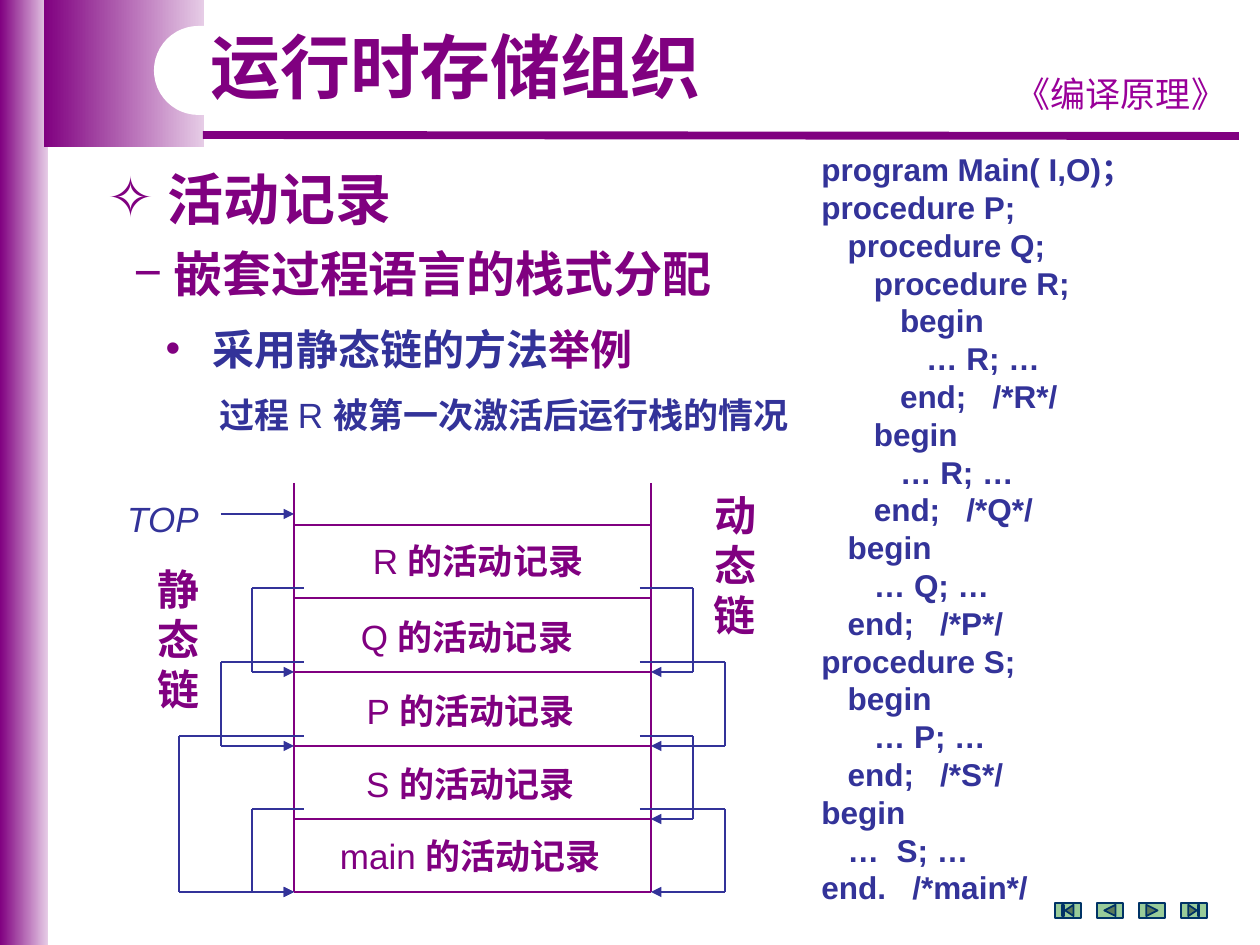
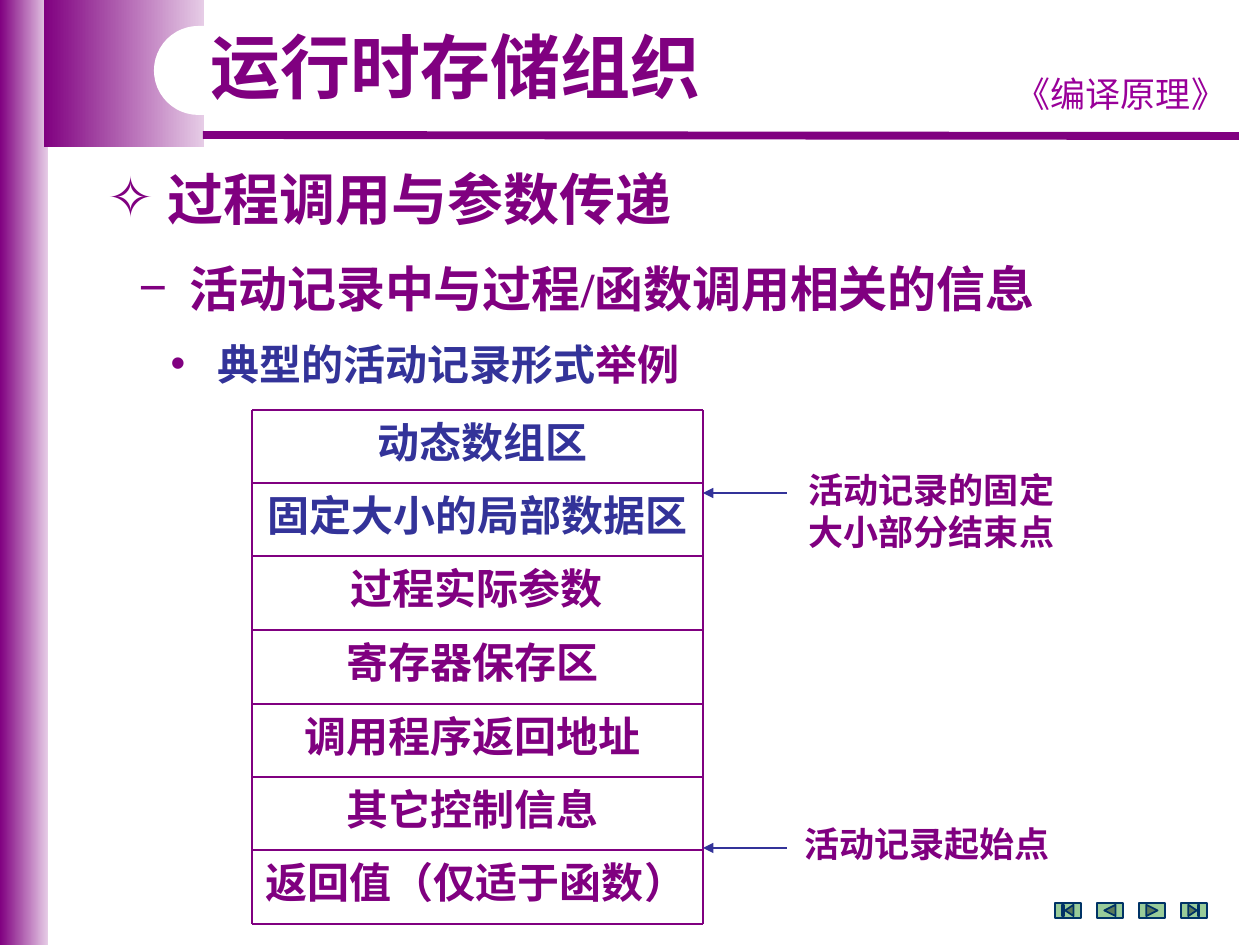
from dataclasses import dataclass

from lxml import etree
from pptx import Presentation
from pptx.dml.color import RGBColor
from pptx.enum.shapes import MSO_CONNECTOR, MSO_SHAPE
from pptx.enum.text import MSO_ANCHOR, MSO_AUTO_SIZE, PP_ALIGN
from pptx.oxml.ns import qn
from pptx.util import Emu, Pt

STRAIGHT = MSO_CONNECTOR.STRAIGHT
RECT, ROUND_RECT = MSO_SHAPE.RECTANGLE, MSO_SHAPE.ROUNDED_RECTANGLE
NAV_BUTTONS = (MSO_SHAPE.ACTION_BUTTON_BEGINNING,
               MSO_SHAPE.ACTION_BUTTON_BACK_OR_PREVIOUS,
               MSO_SHAPE.ACTION_BUTTON_FORWARD_OR_NEXT,
               MSO_SHAPE.ACTION_BUTTON_END)
LEFT, CENTER = PP_ALIGN.LEFT, PP_ALIGN.CENTER
TOP, GROW = MSO_ANCHOR.TOP, MSO_AUTO_SIZE.SHAPE_TO_FIT_TEXT

PURPLE, PALE, BLUE, MAGENTA = "800080", "E6CCE6", "333399", "990099"
WHITE, GREEN, NAVY = "FFFFFF", "99CC99", "003366"
ARIAL, TIMES, COMIC, CJK = "Arial", "Times New Roman", "Comic Neue", "Noto Sans CJK SC"
LINE_HEIGHT = 1.2  # line pitch as a multiple of the text size
ROW = 73.5  # height of one diagram row


@dataclass
class Run:
    text: str
    size: int = 20
    color: str = PURPLE
    bold: bool = True
    italic: bool = False
    font: str = ARIAL


@dataclass
class Para:
    runs: list[Run]
    align: PP_ALIGN = CENTER
    bullet: str = ""
    margin: int = 0
    indent: int = 0
    before: int = 0
    spacing: float = LINE_HEIGHT


@dataclass
class Box:
    left: int
    top: int
    width: int
    height: int


@dataclass
class Link:
    """A chain pointer from one record's last line to a lower row line."""
    source: int
    target: int
    outer: int


def px(n: float) -> Emu:
    return Emu(round(n * 914400 / 126))


def rgb(color: str) -> RGBColor:
    return RGBColor.from_string(color)


def row_y(top: float, i: int) -> int:
    return round(top + ROW * i)


# Text
def fill_text(shape, box: Box, paras: list[Para]) -> None:
    shape.left, shape.top = px(box.left), px(box.top)
    shape.width, shape.height = px(box.width), px(box.height)
    tf = shape.text_frame
    tf.word_wrap, tf.auto_size, tf.vertical_anchor = True, GROW, TOP
    for i, para in enumerate(paras):
        p = tf.add_paragraph() if i else tf.paragraphs[0]
        p.alignment = para.align
        p.line_spacing = Pt(para.runs[-1].size * para.spacing)
        p.space_before, p.space_after = Pt(para.before), Pt(0)
        set_bullet(p, para)
        for run in para.runs:
            r = p.add_run()
            r.text = run.text
            r.font.size, r.font.name = Pt(run.size), run.font
            r.font.bold, r.font.italic = run.bold, run.italic
            r.font.color.rgb = rgb(run.color)
            rpr = r.font.color and r._r.get_or_add_rPr()
            etree.SubElement(rpr, qn("a:ea"), typeface=CJK)


def set_bullet(p, para: Para) -> None:
    ppr = p._p.get_or_add_pPr()
    ppr.set("marL", str(px(para.margin)))
    ppr.set("indent", str(px(para.indent)))
    if para.bullet:
        color = etree.SubElement(ppr, qn("a:buClr"))
        etree.SubElement(color, qn("a:srgbClr"), val=PURPLE)
        etree.SubElement(ppr, qn("a:buChar"), char=para.bullet)
    else:
        etree.SubElement(ppr, qn("a:buNone"))


def add_text(s, box: Box, *runs: Run) -> None:
    sp = s.shapes.add_textbox(0, 0, 0, 0)
    fill_text(sp, box, [Para(list(runs))])


# Shapes and lines
def add_box(s, kind, box: Box, fill: str, line: str = "", fade: str = ""):
    sp = s.shapes.add_shape(kind, px(box.left), px(box.top),
                            px(box.width), px(box.height))
    sp.shadow.inherit = False
    if fade:
        sp.fill.gradient()
        sp.fill.gradient_angle = 0
        for stop, color in zip(sp.fill.gradient_stops, (fill, fade)):
            stop.color.rgb = rgb(color)
    else:
        sp.fill.solid()
        sp.fill.fore_color.rgb = rgb(fill)
    if line:
        sp.line.color.rgb = rgb(line)
        sp.line.width = Pt(1)
    else:
        sp.line.fill.background()
    return sp


def add_line(s, x1: int, y1: int, x2: int, y2: int, color: str = PURPLE,
             width: float = 0.75, arrow: bool = False) -> None:
    c = s.shapes.add_connector(STRAIGHT, px(x1), px(y1), px(x2), px(y2))
    c.line.color.rgb = rgb(color)
    c.line.width = Pt(width)
    if arrow:
        etree.SubElement(c.line._get_or_add_ln(), qn("a:tailEnd"), type="triangle")
    etree.SubElement(c._element.spPr, qn("a:effectLst"))


def add_link(s, link: Link, stack_top: int, inner: int, edge: int) -> None:
    start = row_y(stack_top, link.source) - 10
    end = row_y(stack_top, link.target)
    add_line(s, inner, start, link.outer, start, BLUE)
    add_line(s, link.outer, start, link.outer, end, BLUE)
    add_line(s, link.outer, end, edge, end, BLUE, arrow=True)


def add_stack(s, left: int, right: int, top: int, first: int, rows: int) -> None:
    """Two side lines from top, and the row lines from first down."""
    for x in (left, right):
        add_line(s, x, top, x, row_y(first, rows))
    for i in range(rows + 1):
        add_line(s, left, row_y(first, i), right, row_y(first, i))


# Shared frame, title and headings
def add_slide(prs, heading: str, list_box: Box, subheading: list[Run], topic: str):
    s = prs.slides.add_slide(prs.slide_layouts[3])
    add_box(s, RECT, Box(0, 0, 48, 945), PURPLE, fade=PALE)
    add_box(s, RECT, Box(44, 0, 160, 147), PURPLE, fade=PALE)
    add_line(s, 203, 135, 1239, 136, width=4.5)
    add_text(s, Box(997, 66, 248, 54),
             Run("《编译原理》", color=MAGENTA, bold=False, font=COMIC))
    add_box(s, ROUND_RECT, Box(154, 26, 456, 89), WHITE).adjustments[0] = 0.5

    title, head, points = s.placeholders
    for ph in (title, head, points):  # bring the text in front of the frame
        s.shapes.element.append(ph.element)
    fill_text(title, Box(198, 26, 522, 88),
              [Para([Run("运行时存储组织", 40)], LEFT, spacing=0.9 * LINE_HEIGHT)])
    fill_text(head, Box(95, 158, 924, 79),
              [Para([Run(" ", 32, font=TIMES), Run(heading, 32)], LEFT, "✧")])
    fill_text(points, list_box, [
        Para(subheading, LEFT, "−"),
        Para([Run("  ", 24), Run(topic, 24, BLUE), Run("举例", 24)],
             LEFT, "•", margin=60, indent=-28, before=12)])

    for i, kind in enumerate(NAV_BUTTONS):
        add_box(s, kind, Box(1055 + 42 * i, 903, 26, 15), GREEN, NAVY)
    return s


prs = Presentation()
prs.slide_width, prs.slide_height = px(1260), px(945)

# Slide 1: run-time stack with static and dynamic chains
s = add_slide(prs, "活动记录", Box(121, 237, 667, 142),
              [Run(" ", 28, font=CJK), Run("嵌套过程语言的栈式分配", 28, font=TIMES)],
              "采用静态链的方法")
add_text(s, Box(190, 387, 629, 54), Run("过程 ", color=BLUE),
         Run("R ", color=BLUE, bold=False),
         Run("被第一次激活后运行栈的情况", color=BLUE))

STACK_LEFT, STACK_RIGHT, STACK_TOP = 294, 651, 525
add_stack(s, STACK_LEFT, STACK_RIGHT, 483, STACK_TOP, 5)
RECORDS = (("R ", Box(305, 533, 346, 54)), ("Q ", Box(294, 609, 346, 54)),
           ("P ", Box(301, 683, 339, 54)), ("S ", Box(301, 756, 339, 54)),
           ("main ", Box(301, 828, 339, 54)))
for name, box in RECORDS:
    add_text(s, box, Run(name, bold=False), Run("的活动记录"))

STATIC_LINKS = (Link(1, 2, 252), Link(2, 3, 221), Link(3, 5, 179), Link(4, 5, 252))
DYNAMIC_LINKS = (Link(1, 2, 693), Link(2, 3, 725), Link(3, 4, 693), Link(4, 5, 725))
for link in STATIC_LINKS:
    add_link(s, link, STACK_TOP, 304, STACK_LEFT)
for link in DYNAMIC_LINKS:
    add_link(s, link, STACK_TOP, 640, STACK_RIGHT)
add_text(s, Box(136, 557, 84, 164), Run("静态链", 24))
add_text(s, Box(693, 483, 84, 164), Run("动态链", 24))
add_text(s, Box(105, 491, 116, 54), Run("TOP", color=BLUE, bold=False, italic=True))
add_line(s, 221, 514, STACK_LEFT, 514, BLUE, arrow=True)

# Program listing
PROGRAM = """program Main( I,O)；
procedure P;
   procedure Q;
      procedure R;
         begin
            … R; …
         end;   /*R*/
      begin
         … R; …
      end;   /*Q*/
   begin
      … Q; …
   end;   /*P*/
procedure S;
   begin
      … P; …
   end;   /*S*/
begin
   …  S; …
end.   /*main*/"""
fill_text(s.shapes.add_textbox(0, 0, 0, 0), Box(809, 144, 346, 770),
          [Para([Run(line, 18, BLUE)], LEFT) for line in PROGRAM.splitlines()])

# Slide 2: layout of a typical activation record
s = add_slide(prs, "过程调用与参数传递", Box(126, 252, 1081, 142),
              [Run("  活动记录中与过程/函数调用相关的信息", 28, font=TIMES)],
              "典型的活动记录形式")
RECORD_LEFT, RECORD_RIGHT, RECORD_TOP = 252, 703, 409.5
FIELDS = (("动态数组区", BLUE, 260, 445), ("固定大小的局部数据区", BLUE, 252, 451),
          ("过程实际参数", PURPLE, 260, 433), ("寄存器保存区", PURPLE, 252, 441),
          ("调用程序返回地址", PURPLE, 252, 441), ("其它控制信息", PURPLE, 252, 441),
          ("返回值（仅适于函数）", PURPLE, 252, 448))
add_stack(s, RECORD_LEFT, RECORD_RIGHT, round(RECORD_TOP), RECORD_TOP, len(FIELDS))
for i, (text, color, left, width) in enumerate(FIELDS):
    add_text(s, Box(left, row_y(RECORD_TOP, i), width, 63), Run(text, 24, color))

# Notes on the record's fixed part
NOTES = (("活动记录的固定大小部分结束点", Box(787, 462, 289, 97), 493),
         ("活动记录起始点", Box(777, 816, 300, 54), 848))
for text, box, y in NOTES:
    add_text(s, box, Run(text))
    add_line(s, 787, y, RECORD_RIGHT, y, BLUE, arrow=True)

prs.save("out.pptx")
